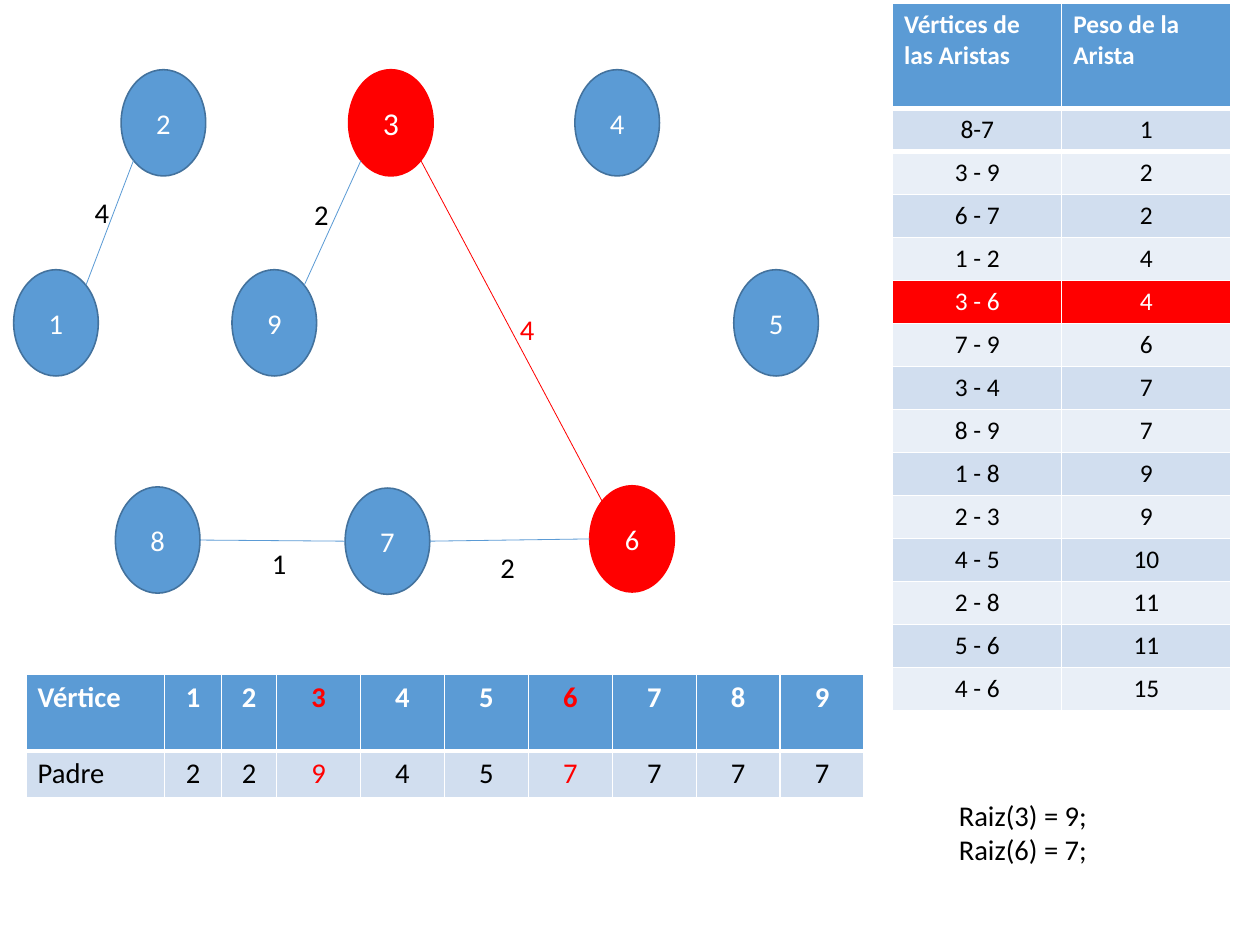
from math import hypot

from lxml import etree
from pptx import Presentation
from pptx.dml.color import RGBColor
from pptx.enum.shapes import MSO_CONNECTOR, MSO_SHAPE
from pptx.enum.text import MSO_ANCHOR, MSO_AUTO_SIZE, PP_ALIGN
from pptx.oxml.ns import qn
from pptx.util import Inches, Pt

VERTICES = {
    "1": (0.12, 2.36), "2": (1.06, 0.61), "3": (3.05, 0.61),
    "4": (5.03, 0.61), "5": (6.42, 2.36), "6": (5.16, 4.25),
    "7": (3.02, 4.27), "8": (1.01, 4.26), "9": (2.03, 2.36),
}
ACTIVE = ("3", "6")
LEFT, RIGHT = (-1, 0), (1, 0)
TOP_LEFT, TOP_RIGHT = (-1, -1), (1, -1)
BOTTOM_LEFT, BOTTOM_RIGHT = (-1, 1), (1, 1)
EDGES = [
    ("8", RIGHT, "7", LEFT, "1", (2.28, 4.73)),
    ("3", BOTTOM_LEFT, "9", TOP_RIGHT, "2", (2.65, 1.67)),
    ("7", RIGHT, "6", LEFT, "2", (4.28, 4.76)),
    ("1", TOP_RIGHT, "2", BOTTOM_LEFT, "4", (0.73, 1.66)),
    ("3", BOTTOM_RIGHT, "6", TOP_LEFT, "4", (4.45, 2.68)),
]
PARENTS = [
    ("Vértice", "1", "2", "3", "4", "5", "6", "7", "8", "9"),
    ("Padre", "2", "2", "9", "4", "5", "7", "7", "7", "7"),
]
WEIGHTS = [
    ("Vértices de las Aristas", "Peso de la Arista"),
    ("8-7", "1"), ("3 - 9", "2"), ("6 - 7", "2"), ("1 - 2", "4"),
    ("3 - 6", "4"), ("7 - 9", "6"), ("3 - 4", "7"), ("8 - 9", "7"),
    ("1 - 8", "9"), ("2 - 3", "9"), ("4 - 5", "10"), ("2 - 8", "11"),
    ("5 - 6", "11"), ("4 - 6", "15"),
]
CURRENT_ROW = 5
ROOTS = "Raiz(3) = 9;\nRaiz(6) = 7;"

CM_PER_INCH = 2.54
SLIDE_W, SLIDE_H = 28 / CM_PER_INCH, 21 / CM_PER_INCH
FONT = "Calibri"
NODE_W, NODE_H = 0.74, 0.93
BLUE = RGBColor(0x5B, 0x9B, 0xD5)
DARK_BLUE = RGBColor(0x43, 0x72, 0x9D)
RED = RGBColor(0xFF, 0x00, 0x00)
WHITE = RGBColor(0xFF, 0xFF, 0xFF)
BLACK = RGBColor(0x00, 0x00, 0x00)
BANDS = (RGBColor(0xE9, 0xEF, 0xF7), RGBColor(0xD1, 0xDE, 0xEF))
CENTER, START = PP_ALIGN.CENTER, PP_ALIGN.LEFT
OVAL, STRAIGHT = MSO_SHAPE.OVAL, MSO_CONNECTOR.STRAIGHT
MIDDLE, FIT_TEXT = MSO_ANCHOR.MIDDLE, MSO_AUTO_SIZE.SHAPE_TO_FIT_TEXT


def format_text(tf, size, color, align=START, bold=False):
    for p in tf.paragraphs:
        p.alignment = align
        for r in p.runs:
            r.font.name = FONT
            r.font.size = Pt(size)
            r.font.bold = bold
            r.font.color.rgb = color


def add_vertex(slide, name):
    x, y = VERTICES[name]
    active = name in ACTIVE
    sp = slide.shapes.add_shape(OVAL, Inches(x), Inches(y), Inches(NODE_W), Inches(NODE_H))
    sp.shadow.inherit = False
    sp.fill.solid()
    sp.fill.fore_color.rgb = RED if active else BLUE
    sp.line.color.rgb = RED if active else DARK_BLUE
    sp.line.width = Pt(1)
    tf = sp.text_frame
    tf.text = name
    tf.vertical_anchor = MIDDLE
    format_text(tf, 20 if name == "3" else 18, WHITE, CENTER)


def rim_point(name, direction):
    x, y = VERTICES[name]
    dx, dy = direction
    scale = 2 * hypot(dx, dy)
    return Inches(x + NODE_W * (0.5 + dx / scale)), Inches(y + NODE_H * (0.5 + dy / scale))


def add_edge(slide, start, start_side, end, end_side, color):
    line = slide.shapes.add_connector(
        STRAIGHT, *rim_point(start, start_side), *rim_point(end, end_side))
    line.line.color.rgb = color
    line.line.width = Pt(0.5)
    etree.SubElement(line._element.spPr, qn("a:effectLst"))


def add_label(slide, text, x, y, w, h, color=BLACK):
    tf = slide.shapes.add_textbox(Inches(x), Inches(y), Inches(w), Inches(h)).text_frame
    tf.word_wrap = False
    tf.auto_size = FIT_TEXT
    tf.text = text
    format_text(tf, 18, color)


def set_border(cell, side, width):
    tc_pr = cell._tc.get_or_add_tcPr()
    border = etree.Element(qn(f"a:ln{side}"), w=str(Pt(width)))
    fill = etree.SubElement(border, qn("a:solidFill"))
    etree.SubElement(fill, qn("a:srgbClr"), val=str(WHITE))
    tc_pr.insert(0, border)


def add_grid(slide, rows, x, y, widths, heights, size, style):
    table = slide.shapes.add_table(
        len(rows), len(widths), Inches(x), Inches(y),
        Inches(sum(widths)), Inches(sum(heights))).table
    for col, width in zip(table.columns, widths):
        col.width = Inches(width)
    for row, height in zip(table.rows, heights):
        row.height = Inches(height)
    for i, values in enumerate(rows):
        for j, value in enumerate(values):
            fill, color, align = style(i, j)
            cell = table.cell(i, j)
            cell.fill.solid()
            cell.fill.fore_color.rgb = fill
            cell.text = value
            format_text(cell.text_frame, size, color, align, i == 0)
            if i < 2:
                set_border(cell, "TB"[1 - i], 3)


def parent_style(i, j):
    color = WHITE if i == 0 else BLACK
    if PARENTS[0][j] in ACTIVE:
        color = RED
    return BLUE if i == 0 else BANDS[1], color, CENTER if j else START


def weight_style(i, j):
    if i == 0:
        return BLUE, WHITE, START
    if i == CURRENT_ROW:
        return RED, WHITE, CENTER
    return BANDS[i % 2], BLACK, CENTER


def main():
    prs = Presentation()
    prs.slide_width = Inches(SLIDE_W)
    prs.slide_height = Inches(SLIDE_H)
    slide = prs.slides.add_slide(prs.slide_layouts[6])
    for name in VERTICES:
        add_vertex(slide, name)
    first_widths = [1.21, 0.5, 0.48]
    other_width = (7.33 - sum(first_widths)) / 7
    add_grid(slide, PARENTS, 0.23, 5.9, first_widths + [other_width] * 7,
             [0.67, 0.4], 18, parent_style)
    weight_rows = len(WEIGHTS) - 1
    add_grid(slide, WEIGHTS, 7.81, 0.03, [1.48] * 2,
             [0.92] + [5.27 / weight_rows] * weight_rows, 16, weight_style)
    for start, start_side, end, end_side, weight, (x, y) in EDGES:
        active = start in ACTIVE and end in ACTIVE
        add_edge(slide, start, start_side, end, end_side, RED if active else BLUE)
        add_label(slide, weight, x, y, 0.32, 0.4, RED if active else BLACK)
    add_label(slide, ROOTS, 8.29, 6.93, 1.32, 0.7)
    prs.save("out.pptx")


if __name__ == "__main__":
    main()
